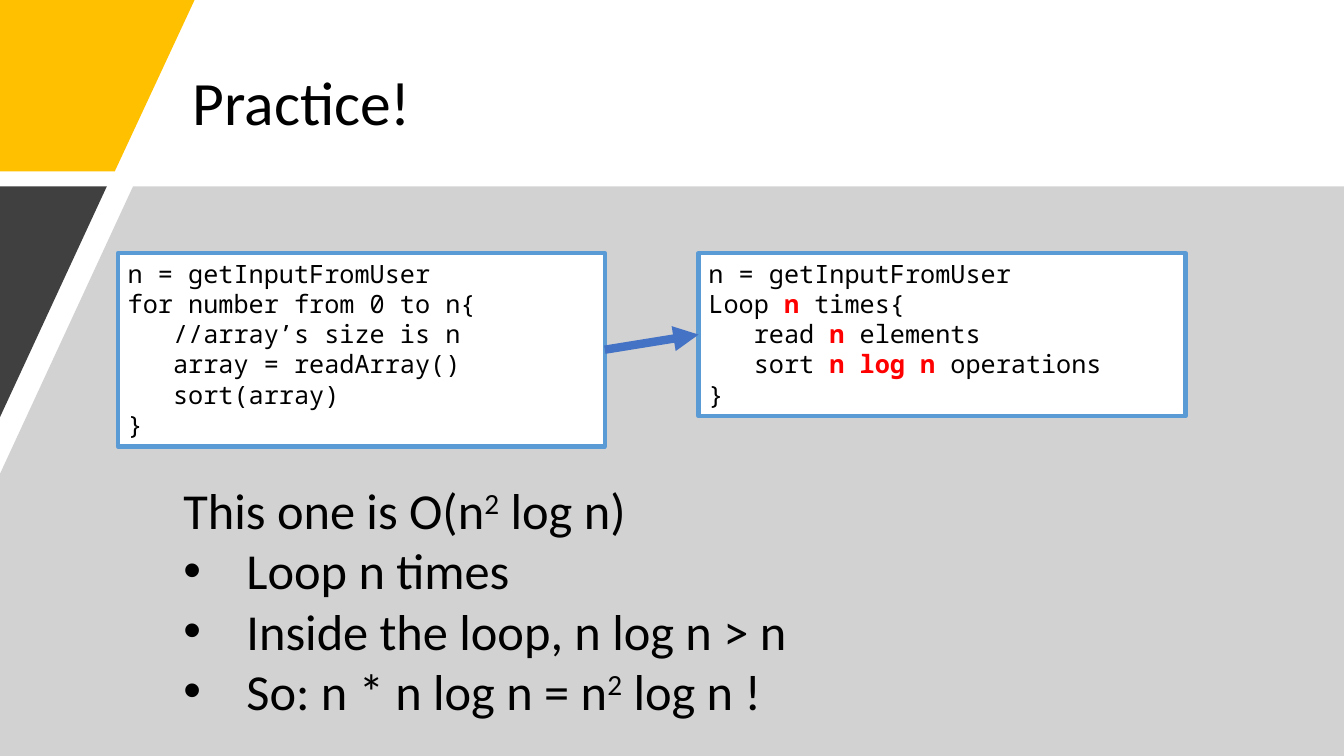
from lxml import etree
from pptx import Presentation
from pptx.dml.color import RGBColor
from pptx.enum.shapes import MSO_CONNECTOR, MSO_SHAPE
from pptx.enum.text import MSO_ANCHOR, MSO_AUTO_SIZE, PP_ALIGN
from pptx.oxml.ns import qn
from pptx.util import Pt

STRAIGHT, RECTANGLE = MSO_CONNECTOR.STRAIGHT, MSO_SHAPE.RECTANGLE
TOP, MIDDLE, LEFT = MSO_ANCHOR.TOP, MSO_ANCHOR.MIDDLE, PP_ALIGN.LEFT
FIXED, GROW = MSO_AUTO_SIZE.NONE, MSO_AUTO_SIZE.SHAPE_TO_FIT_TEXT
RIGHT_SIDE, LEFT_SIDE = 3, 1

BLACK = RGBColor(0, 0, 0)
WHITE = RGBColor(255, 255, 255)
RED = RGBColor(255, 0, 0)
YELLOW = RGBColor(0xFF, 0xC0, 0x00)
GRAY = RGBColor(0xA6, 0xA6, 0xA6)
CHARCOAL = RGBColor(0x40, 0x40, 0x40)
BORDER_BLUE = RGBColor(0x5B, 0x9B, 0xD5)
ARROW_BLUE = RGBColor(0x44, 0x72, 0xC4)

TEXT_FONT, CODE_FONT = "Calibri", "Noto Sans Mono"
WIDTH, HEIGHT = 960, 540
BAND_TOP = 133.2
CODE_INDENT, BULLET_INDENT = 32.4, 45

SOURCE_CODE = [
    (0, "n = getInputFromUser"),
    (1, "for number from 0 to n{"[:0] + "//array’s size is n"),
    (1, "array = readArray()"),
    (1, "sort(array)"),
    (0, "}"),
]
SOURCE_CODE.insert(1, (0, "for number from 0 to n{"))
COST_CODE = [
    (0, "n = getInputFromUser"),
    (0, "Loop |n| times{"),
    (1, "read |n| elements"),
    (1, "sort |n log n| operations"),
    (0, "}"),
]
ANSWER = [
    (False, "This one is O(n|2| log n)"),
    (True, "Loop n times"),
    (True, "Inside the loop, n log n > n"),
    (True, "So: n * n log n = n|2| log n !"),
]


def place(shape, box):
    shape.left, shape.top, shape.width, shape.height = map(Pt, box)


def set_font(paragraph, name, size):
    font = paragraph.font
    font.name, font.size, font.color.rgb = name, Pt(size), BLACK


def set_indent(paragraph, margin, first_line=0):
    properties = paragraph._p.get_or_add_pPr()
    properties.set("marL", str(Pt(margin)))
    properties.set("indent", str(Pt(first_line)))
    return properties


def paragraphs(frame, count):
    return [frame.paragraphs[0]] + [frame.add_paragraph() for _ in range(count - 1)]


def add_marked_runs(paragraph, text, mark):
    for index, part in enumerate(text.split("|")):
        run = paragraph.add_run()
        run.text = part
        if index % 2:
            mark(run)


def highlight(run):
    run.font.bold = True
    run.font.color.rgb = RED


def superscript(run):
    run._r.get_or_add_rPr().set("baseline", "30000")


def add_outline(slide, points, color, opacity=None):
    start, *rest = [(Pt(x), Pt(y)) for x, y in points]
    builder = slide.shapes.build_freeform(*start)
    builder.add_line_segments(rest, close=True)
    outline = builder.convert_to_shape()
    outline.shadow.inherit = False
    outline.fill.solid()
    outline.fill.fore_color.rgb = color
    outline.line.fill.background()
    if opacity is not None:
        rgb = outline.element.spPr.find(qn("a:solidFill")).find(qn("a:srgbClr"))
        etree.SubElement(rgb, qn("a:alpha")).set("val", str(opacity * 1000))


def add_backdrop(slide, box):
    left, top, width, height = box
    right, bottom, band = left + width, top + height, top + BAND_TOP
    add_outline(slide, [(left, top), (left + 139, top), (left + 82, top + 122.4),
                        (left, top + 122.4)], YELLOW)
    add_outline(slide, [(left + 95, band), (right, band), (right, bottom),
                        (left, bottom), (left, top + 338.4)], GRAY, 50)
    add_outline(slide, [(left, band), (left + 76.3, band), (left, top + 298)], CHARCOAL)


def add_title(slide, box):
    title = slide.shapes.title
    place(title, box)
    frame = title.text_frame
    frame.text = "Practice!"
    frame.vertical_anchor, frame.auto_size = MIDDLE, FIXED
    heading = frame.paragraphs[0]
    heading.alignment, heading.line_spacing = LEFT, 0.9
    set_font(heading, TEXT_FONT, 44)


def add_code_box(slide, box, lines):
    code = slide.shapes.add_shape(RECTANGLE, *map(Pt, box))
    code.shadow.inherit = False
    code.fill.solid()
    code.fill.fore_color.rgb = WHITE
    code.line.color.rgb, code.line.width = BORDER_BLUE, Pt(3)
    frame = code.text_frame
    frame.word_wrap, frame.vertical_anchor, frame.auto_size = True, TOP, GROW
    for paragraph, (depth, text) in zip(paragraphs(frame, len(lines)), lines):
        paragraph.alignment = LEFT
        set_indent(paragraph, depth * CODE_INDENT)
        set_font(paragraph, CODE_FONT, 18)
        add_marked_runs(paragraph, text, highlight)
    return code


def add_arrow(slide, origin, target):
    arrow = slide.shapes.add_connector(STRAIGHT, 0, 0, 0, 0)
    arrow.begin_connect(origin, RIGHT_SIDE)
    arrow.end_connect(target, LEFT_SIDE)
    arrow.line.color.rgb, arrow.line.width = ARROW_BLUE, Pt(6)
    etree.SubElement(arrow.line._get_or_add_ln(), qn("a:tailEnd")).set("type", "triangle")
    etree.SubElement(arrow.element.spPr, qn("a:effectLst"))


def add_answer(slide, box):
    answer = slide.placeholders[1]
    place(answer, box)
    answer.element.getparent().append(answer.element)
    frame = answer.text_frame
    frame.word_wrap, frame.vertical_anchor, frame.auto_size = True, TOP, FIXED
    for paragraph, (bulleted, text) in zip(paragraphs(frame, len(ANSWER)), ANSWER):
        margin = BULLET_INDENT if bulleted else 0
        properties = set_indent(paragraph, margin, -margin)
        if bulleted:
            etree.SubElement(properties, qn("a:buFont")).set("typeface", "Arial")
            etree.SubElement(properties, qn("a:buChar")).set("char", "•")
        else:
            etree.SubElement(properties, qn("a:buNone"))
        paragraph.space_before = Pt(0)
        set_font(paragraph, TEXT_FONT, 36)
        add_marked_runs(paragraph, text, superscript)


def build_practice_slide(deck):
    slide = deck.slides.add_slide(deck.slide_layouts[1])
    add_backdrop(slide, (0, 0, WIDTH, HEIGHT))
    add_title(slide, (130.3, 28.8, 737.3, 93.6))
    source = add_code_box(slide, (84.2, 180.7, 347.8, 138.2), SOURCE_CODE)
    cost = add_code_box(slide, (499, 180.7, 347.8, 116.6), COST_CODE)
    add_arrow(slide, source, cost)
    add_answer(slide, (123.8, 338.4, 654.5, 181.4))


deck = Presentation()
deck.slide_width, deck.slide_height = Pt(WIDTH), Pt(HEIGHT)
build_practice_slide(deck)
deck.save("out.pptx")
